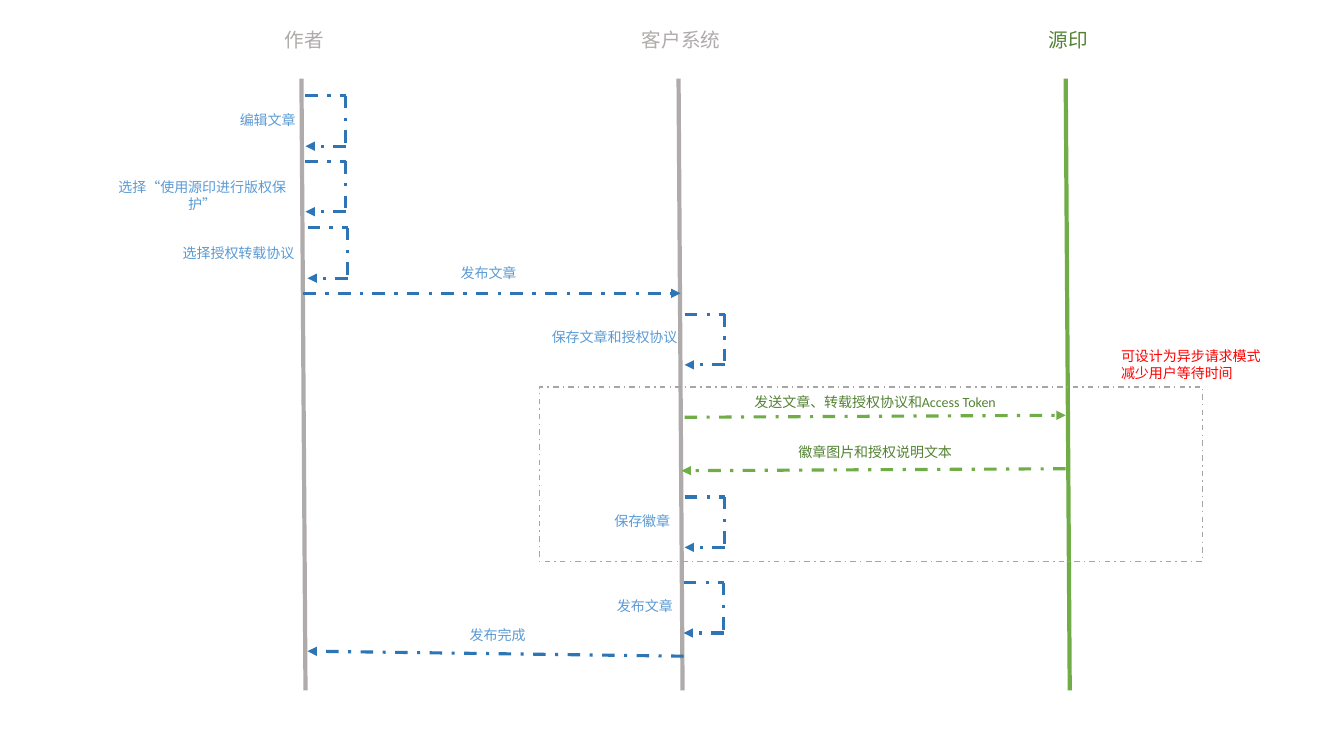
from dataclasses import dataclass
from typing import Any

from lxml import etree
from pptx import Presentation
from pptx import util as u
from pptx.dml.color import RGBColor
from pptx.enum import dml, shapes, text
from pptx.oxml import ns

COLORS = {
    "gray": "AFABAB",
    "green": "70AD47",
    "dark_green": "548235",
    "blue": "2E75B6",
    "light_blue": "5B9BD5",
    "frame": "A6A6A6",
    "red": "FF0000",
}
TOP, BOTTOM, LEAN = 0.78, 6.85, 0.04
LOOP_WIDTH, LOOP_HEIGHT = 0.4, 0.5


@dataclass(frozen=True)
class Lifeline:
    x: float
    color: str


@dataclass(frozen=True)
class Message:
    start: tuple[float, float]
    end: tuple[float, float]
    color: str


@dataclass(frozen=True)
class Label:
    words: str
    left: float
    top: float
    width: float
    color: str = "light_blue"
    height: float = 0.27
    size: int = 10
    align: Any = text.PP_ALIGN.CENTER


@dataclass(frozen=True)
class SelfCall:
    x: float
    y: float


LIFELINES = [Lifeline(2.99, "gray"), Lifeline(6.73, "gray"), Lifeline(10.57, "green")]

MESSAGES = [
    Message((3.01, 2.91), (6.75, 2.91), "blue"),
    Message((6.79, 4.14), (10.57, 4.12), "green"),
    Message((10.57, 4.65), (6.76, 4.67), "green"),
    Message((6.78, 6.51), (3.05, 6.46), "blue"),
]

SELF_CALLS = [
    SelfCall(3.03, 0.95),
    SelfCall(3.03, 1.6),
    SelfCall(3.05, 2.26),
    SelfCall(6.79, 3.12),
    SelfCall(6.79, 4.93),
    SelfCall(6.78, 5.78),
]

LABELS = [
    Label("作者", 2.43, 0.23, 1.18, "gray", 0.34, 14),
    Label("客户系统", 6.07, 0.23, 1.37, "gray", 0.34, 14),
    Label("源印", 9.91, 0.23, 1.37, "dark_green", 0.34, 14),
    Label("编辑文章", 2.14, 1.06, 1.03),
    Label("选择“使用源印进行版权保护”", 0.96, 1.72, 2.09),
    Label("选择授权转载协议", 1.56, 2.38, 1.61),
    Label("发布文章", 3.47, 2.58, 2.75),
    Label("保存文章和授权协议", 5.35, 3.21, 1.49),
    Label("发送文章、转载授权协议和Access Token", 7.18, 3.85, 3, "dark_green"),
    Label("徽章图片和授权说明文本", 7.8, 4.35, 1.76, "dark_green"),
    Label("保存徽章", 5.9, 5.04, 0.94),
    Label("发布文章", 5.9, 5.88, 0.99),
    Label("发布完成", 3.56, 6.17, 2.75),
    Label("可设计为异步请求模式\n减少用户等待时间", 11.02, 3.4, 1.78, "red", 0.44,
          align=text.PP_ALIGN.LEFT),
]


def rgb(name: str) -> RGBColor:
    return RGBColor.from_string(COLORS[name])


def apply(target: Any, values: dict[str, Any]) -> None:
    for name, value in values.items():
        setattr(target, name, value)


def style_line(line: Any, color: str, width: float, dashed: bool) -> None:
    line.color.rgb = rgb(color)
    line.width = u.Pt(width)
    if dashed:
        line.dash_style = dml.MSO_LINE.DASH_DOT


def draw_line(parent: Any, start: tuple[float, float], end: tuple[float, float],
              color: str, width: float = 2.25, dashed: bool = True,
              arrow: bool = False) -> None:
    """Add a straight connector to a slide's or group's shapes."""
    points = [u.Inches(value) for value in (*start, *end)]
    sp = parent.add_connector(shapes.MSO_CONNECTOR.STRAIGHT, *points)
    style_line(sp.line, color, width, dashed)
    if arrow:
        ln = sp.line._get_or_add_ln()
        etree.SubElement(ln, ns.qn("a:tailEnd"), type="triangle")
    etree.SubElement(sp._element.spPr, ns.qn("a:effectLst"))


def draw_self_call(s: Any, call: SelfCall) -> None:
    """Draw a three-sided loop that returns to its own lifeline."""
    group = s.shapes.add_group_shape().shapes
    right, bottom = call.x + LOOP_WIDTH, call.y + LOOP_HEIGHT
    corners = [(call.x, call.y), (right, call.y), (right, bottom), (call.x, bottom)]
    for i, (start, end) in enumerate(zip(corners, corners[1:])):
        draw_line(group, start, end, "blue", arrow=i == 2)


def draw_label(s: Any, label: Label) -> None:
    box = (label.left, label.top, label.width, label.height)
    tf = s.shapes.add_textbox(*map(u.Inches, box)).text_frame
    apply(tf, {"word_wrap": True, "auto_size": text.MSO_AUTO_SIZE.SHAPE_TO_FIT_TEXT,
               "text": label.words})
    for p in tf.paragraphs:
        p.alignment = label.align
        for r in p.runs:
            apply(r.font, {"name": "Calibri", "size": u.Pt(label.size)})
            r.font.color.rgb = rgb(label.color)


def draw_async_frame(s: Any) -> None:
    box = map(u.Inches, (5.35, 3.84, 6.58, 1.73))
    sp = s.shapes.add_shape(shapes.MSO_SHAPE.RECTANGLE, *box)
    sp.shadow.inherit = False
    sp.fill.background()
    style_line(sp.line, "frame", 1, True)


def main() -> None:
    prs = Presentation()
    apply(prs, {"slide_width": u.Inches(13.33), "slide_height": u.Inches(7.5)})
    s = prs.slides.add_slide(prs.slide_layouts[6])
    for lifeline in LIFELINES:
        draw_line(s.shapes, (lifeline.x, TOP), (lifeline.x + LEAN, BOTTOM),
                  lifeline.color, width=3, dashed=False)
    for message in MESSAGES:
        draw_line(s.shapes, message.start, message.end, message.color, arrow=True)
    for call in SELF_CALLS:
        draw_self_call(s, call)
    draw_async_frame(s)
    for label in LABELS:
        draw_label(s, label)
    prs.save("out.pptx")


if __name__ == "__main__":
    main()
